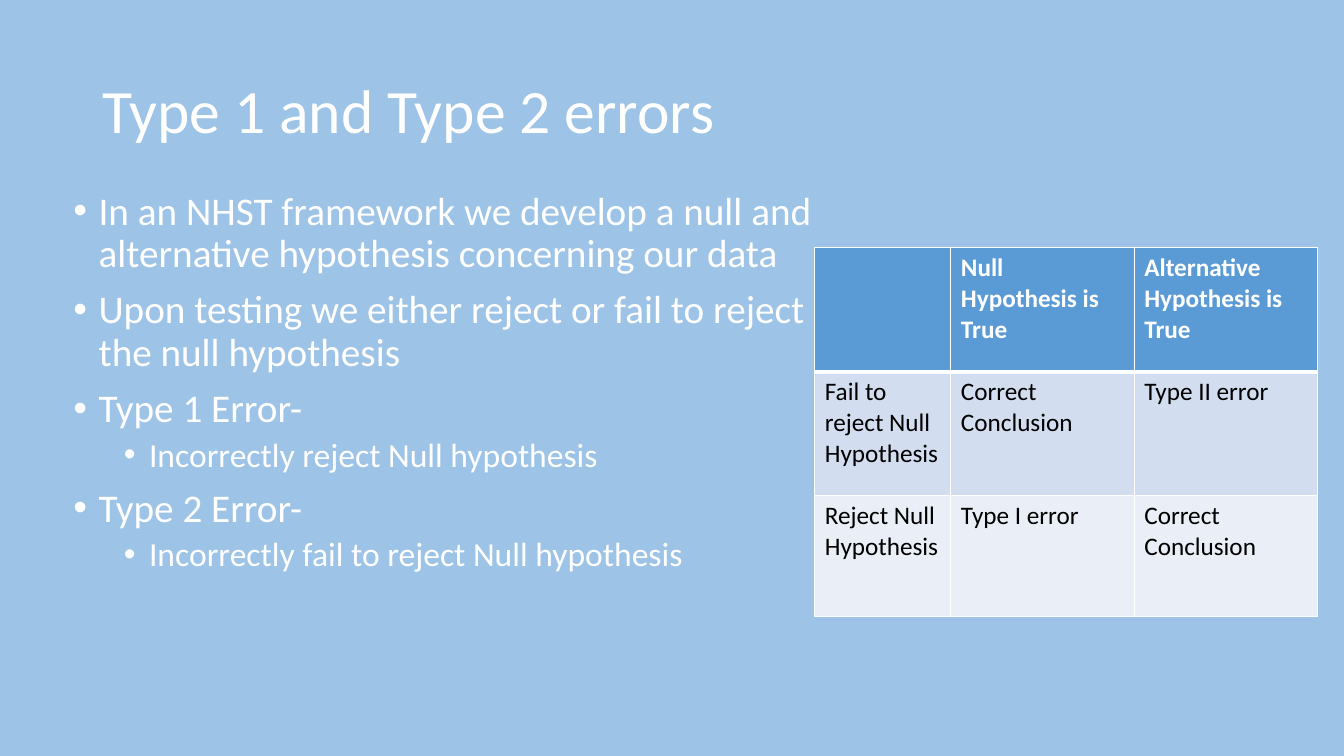
from lxml import etree
from pptx import Presentation
from pptx.dml.color import RGBColor
from pptx.enum import text
from pptx.oxml import ns
from pptx.util import Pt

TITLE = "Type 1 and Type 2 errors"
POINTS = [
    (0, "In an NHST framework we develop a null and alternative hypothesis concerning our data"),
    (0, "Upon testing we either reject or fail to reject the null hypothesis"),
    (0, "Type 1 Error-"),
    (1, "Incorrectly reject Null hypothesis"),
    (0, "Type 2 Error-"),
    (1, "Incorrectly fail to reject Null hypothesis"),
]
OUTCOMES = [
    ("", "Null Hypothesis is True", "Alternative Hypothesis is True"),
    ("Fail to reject Null Hypothesis", "Correct Conclusion", "Type II error"),
    ("Reject Null Hypothesis", "Type I error", "Correct Conclusion"),
]
COLUMN_WIDTHS = (97.2, 131, 131)
ROW_HEIGHTS = (88.5, 88.5, 86.4)
LEVELS = [(28, 10, 18), (24, 5, 54)]
HANGING = 18

WHITE = RGBColor(0xFF, 0xFF, 0xFF)
BLACK = RGBColor(0x00, 0x00, 0x00)
SKY = RGBColor(0x9D, 0xC3, 0xE6)
HEADER_BLUE = RGBColor(0x5B, 0x9B, 0xD5)
ROW_FILLS = (HEADER_BLUE, RGBColor(0xD2, 0xDE, 0xEF), RGBColor(0xEA, 0xEF, 0xF7))


def style(paragraph, size, color, bold=False):
    font = paragraph.font
    font.name, font.size, font.bold = "Calibri", Pt(size), bold
    font.color.rgb = color


def place(shape, left, top, width, height):
    shape.left, shape.top = Pt(left), Pt(top)
    shape.width, shape.height = Pt(width), Pt(height)


def add_bullet(paragraph, indent):
    properties = paragraph._p.get_or_add_pPr()
    properties.set("marL", str(Pt(indent)))
    properties.set("indent", str(-Pt(HANGING)))
    etree.SubElement(properties, ns.qn("a:buFont")).set("typeface", "Arial")
    etree.SubElement(properties, ns.qn("a:buChar")).set("char", "•")


def add_borders(cell, widths):
    properties = cell._tc.get_or_add_tcPr()
    for position, (side, width) in enumerate(widths.items()):
        line = etree.Element(ns.qn(f"a:ln{side}"), w=str(Pt(width)))
        fill = etree.SubElement(line, ns.qn("a:solidFill"))
        etree.SubElement(fill, ns.qn("a:srgbClr")).set("val", str(WHITE))
        properties.insert(position, line)


deck = Presentation()
deck.slide_width, deck.slide_height = Pt(960), Pt(540)
slide = deck.slides.add_slide(deck.slide_layouts[5])
slide.background.fill.solid()
slide.background.fill.fore_color.rgb = SKY

title = slide.shapes.title
place(title, 66, 28.75, 828, 104.4)
title.text_frame.text = TITLE
title.text_frame.vertical_anchor = text.MSO_ANCHOR.MIDDLE
heading = title.text_frame.paragraphs[0]
heading.alignment = text.PP_ALIGN.LEFT
heading.line_spacing = 0.9
style(heading, 44, WHITE)

points = slide.shapes.add_textbox(Pt(45.4), Pt(133.2), Pt(560), Pt(342.7)).text_frame
points.word_wrap = True
for index, (level, wording) in enumerate(POINTS):
    point = points.add_paragraph() if index else points.paragraphs[0]
    size, space, indent = LEVELS[level]
    point.text, point.level = wording, level
    point.line_spacing, point.space_before = 0.9, Pt(space)
    style(point, size, WHITE)
    add_bullet(point, indent)

outcomes = slide.shapes.add_table(
    len(OUTCOMES), len(COLUMN_WIDTHS), Pt(582), Pt(177),
    Pt(sum(COLUMN_WIDTHS)), Pt(sum(ROW_HEIGHTS))).table
for column, width in zip(outcomes.columns, COLUMN_WIDTHS):
    column.width = Pt(width)
for r, (wordings, height, row_fill) in enumerate(zip(OUTCOMES, ROW_HEIGHTS, ROW_FILLS)):
    outcomes.rows[r].height = Pt(height)
    is_header = r == 0
    for c, wording in enumerate(wordings):
        cell = outcomes.cell(r, c)
        cell.text = wording
        style(cell.text_frame.paragraphs[0], 18, WHITE if is_header else BLACK, is_header)
        cell.fill.solid()
        cell.fill.fore_color.rgb = row_fill
        add_borders(cell, {"L": 1, "R": 1, "T": 3 if r == 1 else 1, "B": 3 if is_header else 1})

deck.save("out.pptx")
